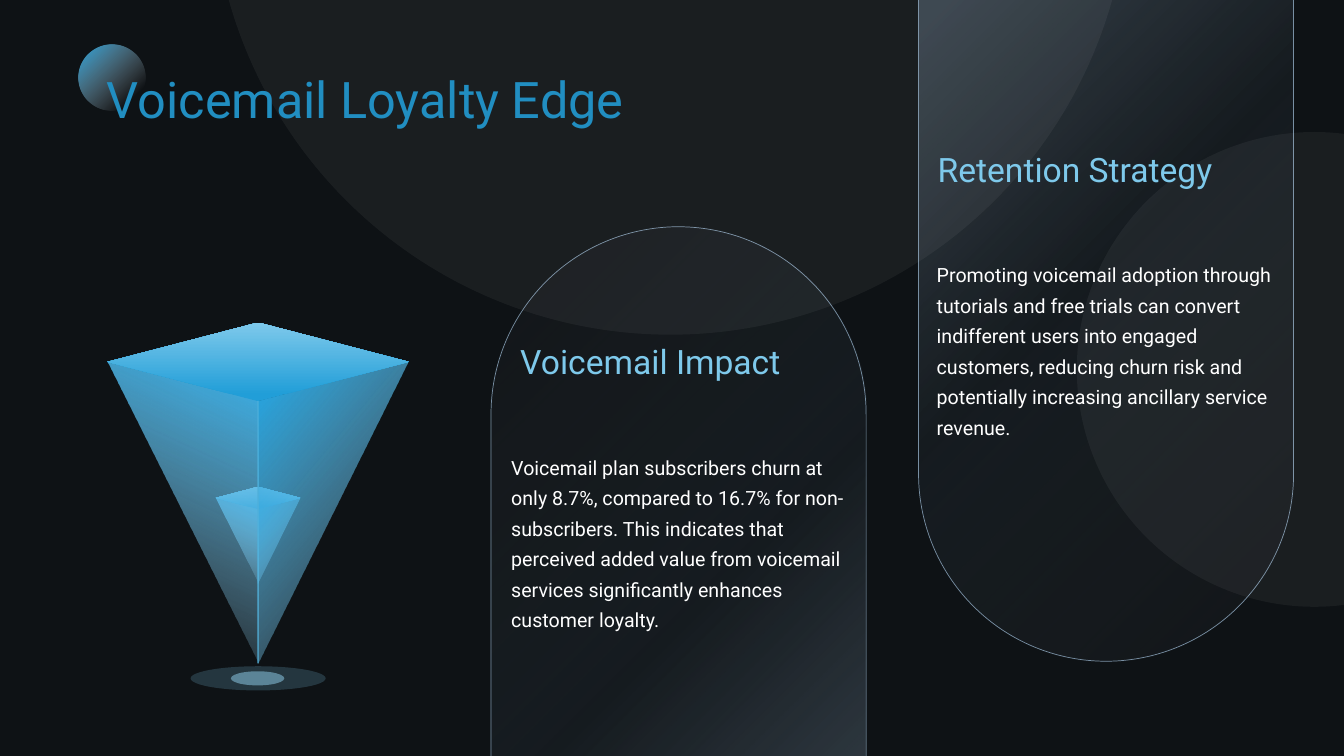
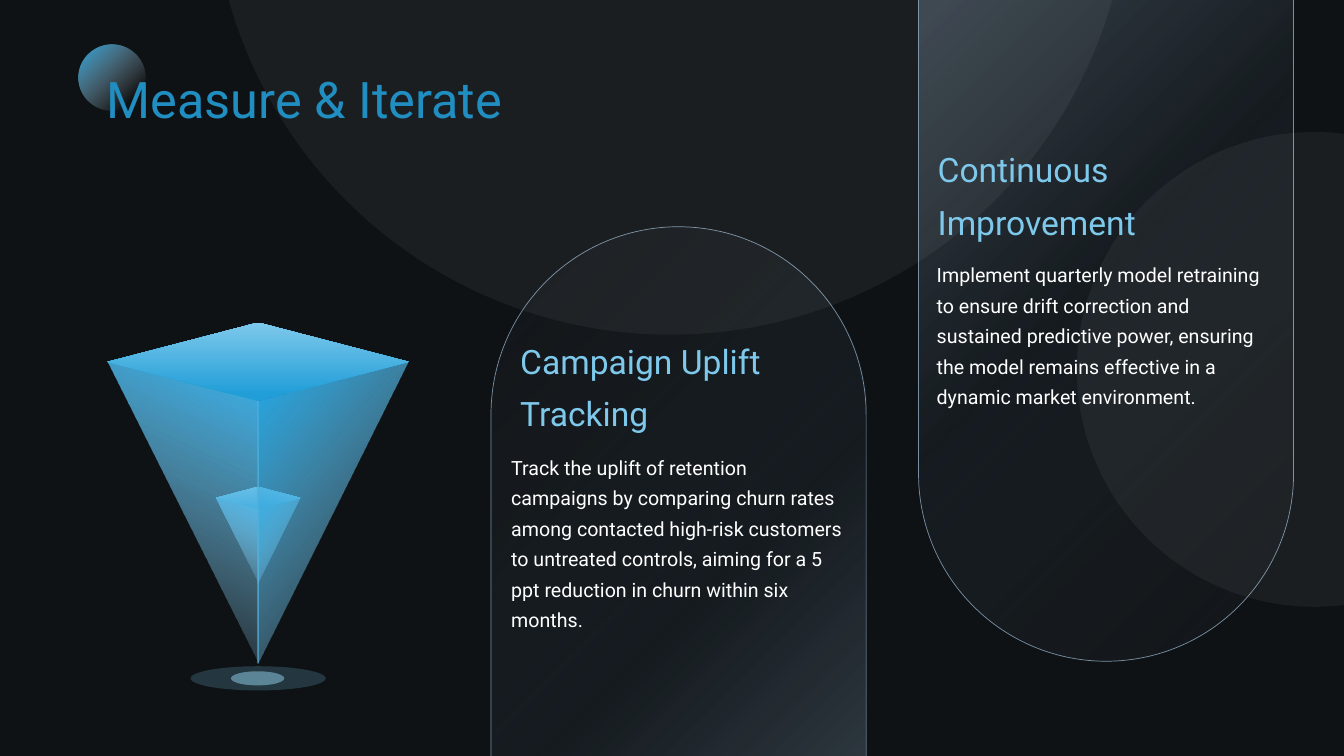
from dataclasses import dataclass

import pptx
import pptx.dml.color
import pptx.enum.shapes
import pptx.enum.text
import pptx.oxml
import pptx.oxml.ns
import pptx.util
from lxml import etree

Inches = pptx.util.Inches
Pt = pptx.util.Pt
Preset = pptx.enum.shapes.MSO_SHAPE
qualified = pptx.oxml.ns.qn


@dataclass(frozen=True)
class Theme:
    font: str = "Roboto"
    background: str = "0E1215"
    title: str = "218EC1"
    heading: str = "7EC9EB"
    body: str = "FFFFFF"
    halo: str = "FFFFFF"
    outline: str = "788FA3"
    seam: str = "4FAFD9"
    pool: str = "7EC9EB"
    pool_centre: str = "93D2EF"
    title_size: int = 36
    heading_size: int = 24
    body_size: int = 14
    # Gradient stops: position %, colour, opacity %
    panel: tuple = ((0, "788FA3", 39), (22, "788FA3", 36),
                    (54, "788FA3", 7), (100, "232322", 15))
    left_face: tuple = ((0, "3CACE1", 100), (7, "3CACE1", 100), (100, "A9DAF2", 0))
    right_face: tuple = ((0, "28A4DE", 100), (7, "28A4DE", 100), (100, "A9DAF2", 0))
    lid: tuple = ((0, "219ED8", 100), (9, "219ED8", 100), (100, "7EC9EB", 100))
    orb: tuple = ((0, "28A4DE", 100), (81, "C5C9CE", 0), (100, "C5C9CE", 0))


THEME = Theme()

SLIDES = [
    ("Voicemail Loyalty Edge", [
        ("Voicemail Impact",
         "Voicemail plan subscribers churn at only 8.7%, compared to 16.7% for "
         "non-subscribers. This indicates that perceived added value from voicemail "
         "services significantly enhances customer loyalty."),
        ("Retention Strategy",
         "Promoting voicemail adoption through tutorials and free trials can convert "
         "indifferent users into engaged customers, reducing churn risk and "
         "potentially increasing ancillary service revenue."),
    ]),
    ("Measure & Iterate", [
        ("Campaign Uplift Tracking",
         "Track the uplift of retention campaigns by comparing churn rates among "
         "contacted high-risk customers to untreated controls, aiming for a 5 ppt "
         "reduction in churn within six months."),
        ("Continuous Improvement",
         "Implement quarterly model retraining to ensure drift correction and "
         "sustained predictive power, ensuring the model remains effective in a "
         "dynamic market environment."),
    ]),
]

# Heading box and body box for each panel
TEXT_BOXES = [
    ((5.11, 3.21, 3.29, 1.5), (5.02, 4.4, 3.43, 1.88)),
    ((9.25, 1.31, 3.25, 1.5), (9.24, 2.49, 3.43, 1.88)),
]


def rgb(color):
    return pptx.dml.color.RGBColor.from_string(color)


def set_opacity(color_element, opacity):
    alpha = etree.SubElement(color_element, qualified("a:alpha"))
    alpha.set("val", str(opacity * 1000))


def fill_solid(shape, color, opacity):
    shape.fill.solid()
    shape.fill.fore_color.rgb = rgb(color)
    set_opacity(shape.element.spPr.find(".//" + qualified("a:srgbClr")), opacity)


def fill_gradient(shape, stops, angle):
    """Fill with stops running along a clockwise angle in degrees."""
    shape.fill.gradient()
    gradient = shape.element.spPr.find(qualified("a:gradFill"))
    stop_list = gradient.find(qualified("a:gsLst"))
    for stop in list(stop_list):
        stop_list.remove(stop)
    for position, color, opacity in stops:
        stop = etree.SubElement(stop_list, qualified("a:gs"), pos=str(position * 1000))
        color_element = etree.SubElement(stop, qualified("a:srgbClr"), val=color)
        if opacity < 100:
            set_opacity(color_element, opacity)
    gradient.find(qualified("a:lin")).set("ang", str(angle * 60000))


def add_preset(slide, preset, box):
    shape = slide.shapes.add_shape(preset, *map(Inches, box))
    shape.shadow.inherit = False
    shape.line.fill.background()
    return shape


def add_panel(slide, box, rotation):
    panel = add_preset(slide, Preset.ROUND_2_SAME_RECTANGLE, box)
    panel.adjustments[0] = 0.5
    panel.adjustments[1] = 0
    panel.rotation = rotation
    fill_gradient(panel, THEME.panel, 225)
    panel.line.color.rgb = rgb(THEME.outline)
    panel.line.width = Pt(0.5)


def add_disc(slide, box, color, opacity):
    fill_solid(add_preset(slide, Preset.OVAL, box), color, opacity)


def add_face(slide, points, stops, angle):
    start, *others = [(Inches(x), Inches(y)) for x, y in points]
    builder = slide.shapes.build_freeform(*start)
    builder.add_line_segments(others, close=True)
    face = builder.convert_to_shape()
    face.shadow.inherit = False
    face.line.fill.background()
    fill_gradient(face, stops, angle)


def add_seam(slide, x, top, bottom, width):
    seam = slide.shapes.add_connector(
        pptx.enum.shapes.MSO_CONNECTOR.STRAIGHT,
        Inches(x), Inches(top), Inches(x), Inches(bottom))
    seam.line.color.rgb = rgb(THEME.seam)
    seam.line.width = Pt(width)
    properties = seam.element.spPr
    set_opacity(properties.find(".//" + qualified("a:srgbClr")), 60)
    etree.SubElement(properties, qualified("a:effectLst"))


def add_prism(slide, top, width, lid_height, tip, seam_width):
    """Draw an inverted pyramid: two faces, their seam and the lid."""
    centre = 2.56
    corner, front = top + lid_height / 2, top + lid_height
    for side, stops, angle in ((-1, THEME.left_face, 115), (1, THEME.right_face, 40)):
        points = ((centre, front), (centre, tip), (centre + side * width / 2, corner))
        add_face(slide, points, stops, angle)
    add_seam(slide, centre, front, tip, seam_width)
    lid = add_preset(slide, Preset.FLOWCHART_DECISION,
                     (centre - width / 2, top, width, lid_height))
    fill_gradient(lid, THEME.lid, 270)


def add_decoration(slide):
    add_panel(slide, (4.87, 2.25, 3.72, 9.03), 0)
    add_panel(slide, (9.11, -2.47, 3.72, 9.03), 180)
    add_disc(slide, (2.1, -5.78, 9.1, 9.1), THEME.halo, 5)
    add_disc(slide, (10.68, 1.31, 4.71, 4.71), THEME.halo, 5)
    add_prism(slide, 4.83, 0.84, 0.22, 5.79, 0.5)
    add_prism(slide, 3.2, 2.99, 0.78, 6.58, 1.25)
    add_disc(slide, (1.89, 6.61, 1.34, 0.24), THEME.pool, 20)
    add_disc(slide, (2.29, 6.66, 0.53, 0.14), THEME.pool_centre, 50)
    orb = add_preset(slide, Preset.OVAL, (0.78, 0.44, 0.66, 0.66))
    fill_gradient(orb, THEME.orb, 45)


def fill_placeholder(placeholder, text, box, size, color, inset=0.05, spacing=1.3):
    """Place a placeholder in front of the decoration and set its text."""
    placeholder.element.getparent().append(placeholder.element)
    placeholder.left, placeholder.top, placeholder.width, placeholder.height = map(Inches, box)
    frame = placeholder.text_frame
    frame.text = text
    frame.word_wrap = True
    frame.auto_size = pptx.enum.text.MSO_AUTO_SIZE.NONE
    frame.vertical_anchor = pptx.enum.text.MSO_ANCHOR.TOP
    frame.margin_left = frame.margin_right = Inches(inset)
    frame.margin_top = frame.margin_bottom = Inches(inset)
    paragraph = frame.paragraphs[0]
    properties = paragraph._p.get_or_add_pPr()
    properties.set("marL", "0")
    properties.set("indent", "0")
    etree.SubElement(properties, qualified("a:buNone"))
    paragraph.alignment = pptx.enum.text.PP_ALIGN.LEFT
    paragraph.line_spacing = spacing
    paragraph.space_before = Pt(0)
    font = paragraph.runs[0].font
    font.name, font.size, font.bold = THEME.font, Pt(size), False
    font.color.rgb = rgb(color)


def build_slide(presentation, title, sections):
    layout = presentation.slide_layouts.get_by_name("Comparison")
    slide = presentation.slides.add_slide(layout)
    add_decoration(slide)
    fill_placeholder(slide.shapes.title, title, (1.06, 0.56, 11.51, 0.72),
                     THEME.title_size, THEME.title, inset=0, spacing=1.2)
    placeholders = {item.placeholder_format.idx: item for item in slide.placeholders}
    for number, ((heading, body), boxes) in enumerate(zip(sections, TEXT_BOXES)):
        heading_box, body_box = boxes
        fill_placeholder(placeholders[2 * number + 1], heading, heading_box,
                         THEME.heading_size, THEME.heading)
        fill_placeholder(placeholders[2 * number + 2], body, body_box,
                         THEME.body_size, THEME.body)


def main():
    presentation = pptx.Presentation()
    presentation.slide_width = Inches(13.33)
    presentation.slide_height = Inches(7.5)
    background = presentation.slide_master.background.fill
    background.solid()
    background.fore_color.rgb = rgb(THEME.background)
    for title, sections in SLIDES:
        build_slide(presentation, title, sections)
    presentation.save("out.pptx")


if __name__ == "__main__":
    main()
